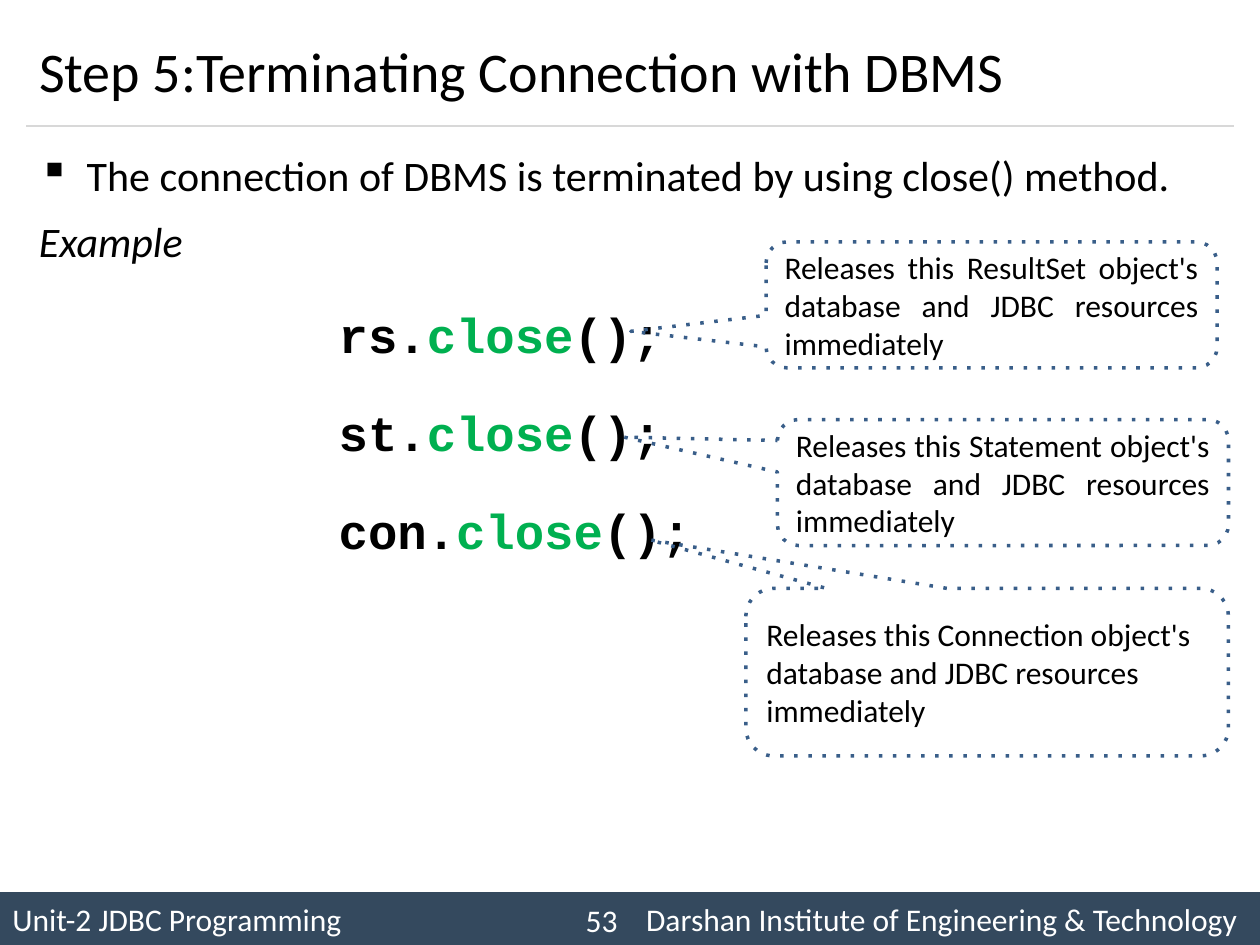
import lxml.etree
import pptx
import pptx.dml.color
import pptx.enum.dml
import pptx.enum.shapes
import pptx.enum.text
import pptx.oxml.ns
import pptx.util

Inches = pptx.util.Inches
Pt = pptx.util.Pt
Align = pptx.enum.text.PP_ALIGN
Anchor = pptx.enum.text.MSO_ANCHOR
Shapes = pptx.enum.shapes.MSO_SHAPE
qn = pptx.oxml.ns.qn

COLORS = {"text": "000000", "white": "FFFFFF", "footer": "34495E",
          "rule": "D8D8D8", "method": "00B050", "callout": "395E89"}


def color(name):
    return pptx.dml.color.RGBColor.from_string(COLORS[name])


def add_xml(parent, tag, **attributes):
    return lxml.etree.SubElement(parent, qn(tag), attributes)


class SlideBuilder:
    body_font = "Calibri"
    code_font = "Courier New"

    def __init__(self, page):
        self.page = page

    def frame(self, box, anchor=Anchor.MIDDLE):
        frame = box.text_frame
        frame.word_wrap = True
        frame.auto_size = pptx.enum.text.MSO_AUTO_SIZE.NONE
        frame.vertical_anchor = anchor
        return frame

    def span(self, para, text, size, ink="text", font=None, bold=False, italic=False):
        span = para.add_run()
        span.text = text
        span.font.name = font or self.body_font
        span.font.size = Pt(size)
        span.font.bold = bold
        span.font.italic = italic
        span.font.color.rgb = color(ink)

    def indent(self, para, margin, first=0):
        properties = para._p.get_or_add_pPr()
        properties.set("marL", str(Inches(margin)))
        properties.set("indent", str(Inches(first)))
        return properties

    def title(self, text, place):
        box = self.page.shapes.title
        box.left, box.top, box.width, box.height = map(Inches, place)
        para = self.frame(box).paragraphs[0]
        para.alignment = Align.LEFT
        self.span(para, text, 32)

    def text_box(self, place, anchor=Anchor.MIDDLE):
        box = self.page.shapes.add_textbox(*map(Inches, place))
        return self.frame(box, anchor)

    def shape(self, kind, place):
        box = self.page.shapes.add_shape(kind, *map(Inches, place))
        box.shadow.inherit = False
        return box

    def rule(self, left, right, top):
        line = self.page.shapes.add_connector(
            pptx.enum.shapes.MSO_CONNECTOR.STRAIGHT,
            Inches(left), Inches(top), Inches(right), Inches(top))
        line.line.color.rgb = color("rule")
        line.line.width = Pt(0.75)
        add_xml(line._element.spPr, "a:effectLst")

    def footer(self, left_text, right_text, place):
        bar = self.shape(Shapes.RECTANGLE, place)
        bar.fill.solid()
        bar.fill.fore_color.rgb = color("footer")
        bar.line.fill.background()
        para = self.frame(bar).paragraphs[0]
        tabs = add_xml(para._p.get_or_add_pPr(), "a:tabLst")
        add_xml(tabs, "a:tab", pos=str(Inches(5.03)), algn="l")
        para.alignment = Align.LEFT
        self.span(para, f"{left_text}\t{right_text}", 18, "white")

    def page_number(self, number, place):
        para = self.text_box(place).paragraphs[0]
        para.alignment = Align.RIGHT
        self.span(para, number, 18, "white")

    def body(self, point, label, code_objects, place):
        frame = self.text_box(place, Anchor.TOP)

        para = frame.paragraphs[0]
        properties = self.indent(para, 0.38, -0.38)
        bullet_color = add_xml(properties, "a:buClr")
        add_xml(bullet_color, "a:srgbClr", val=COLORS["text"])
        add_xml(properties, "a:buChar", char="▪")
        para.line_spacing = 1.14
        self.span(para, point, 24)

        para = frame.add_paragraph()
        para.line_spacing = 1.14
        para.space_before = Pt(4.8)
        self.span(para, label, 24, italic=True)

        for name in code_objects:
            para = frame.add_paragraph()
            self.indent(para, 2.38)
            para.line_spacing = 1.5
            para.space_before = Pt(5.6)
            for text, ink in ((f"{name}.", "text"), ("close", "method"), ("();", "text")):
                self.span(para, text, 28, ink, self.code_font, bold=True)

    def callout(self, text, place, pointer, align):
        box = self.shape(Shapes.ROUNDED_RECTANGULAR_CALLOUT, place)
        box.adjustments[0], box.adjustments[1] = pointer
        box.fill.background()
        box.line.color.rgb = color("callout")
        box.line.width = Pt(2)
        box.line.dash_style = pptx.enum.dml.MSO_LINE.ROUND_DOT
        # Widely spaced dots have no member in MSO_LINE
        box._element.spPr.find(".//" + qn("a:prstDash")).set("val", "dot")
        para = self.frame(box).paragraphs[0]
        para.alignment = align
        self.span(para, text, 18)


def main():
    deck = pptx.Presentation()
    deck.slide_width, deck.slide_height = Inches(10), Inches(7.5)
    slide = SlideBuilder(deck.slides.add_slide(deck.slide_layouts[5]))

    # Footer bar and title rule
    slide.footer("Unit-2 JDBC Programming",
                 "Darshan Institute of Engineering & Technology", (0, 7.08, 10, 0.42))
    slide.rule(0.21, 9.79, 1)

    # Title, body and page number
    slide.title("Step 5:Terminating Connection with DBMS", (0.21, 0.12, 9.58, 0.88))
    slide.body("The connection of DBMS is terminated by using close() method.",
               "Example", ("rs", "st", "con"), (0.21, 1.08, 9.58, 5.83))
    slide.page_number("53", (4.17, 7.1, 0.83, 0.4))

    # Callouts pointing at the close calls
    callouts = (
        ("this ResultSet ", (6.08, 1.92, 3.58, 1), (-0.8, 0.21), Align.JUSTIFY),
        ("this Statement ", (6.17, 3.33, 3.58, 1), (-0.84, -0.36), Align.JUSTIFY),
        ("this Connection ", (5.92, 4.67, 3.83, 1.33), (-0.7, -0.79), Align.LEFT),
    )
    for target, place, pointer, align in callouts:
        slide.callout(f"Releases {target}object's database and JDBC resources immediately",
                      place, pointer, align)

    deck.save("out.pptx")


if __name__ == "__main__":
    main()
